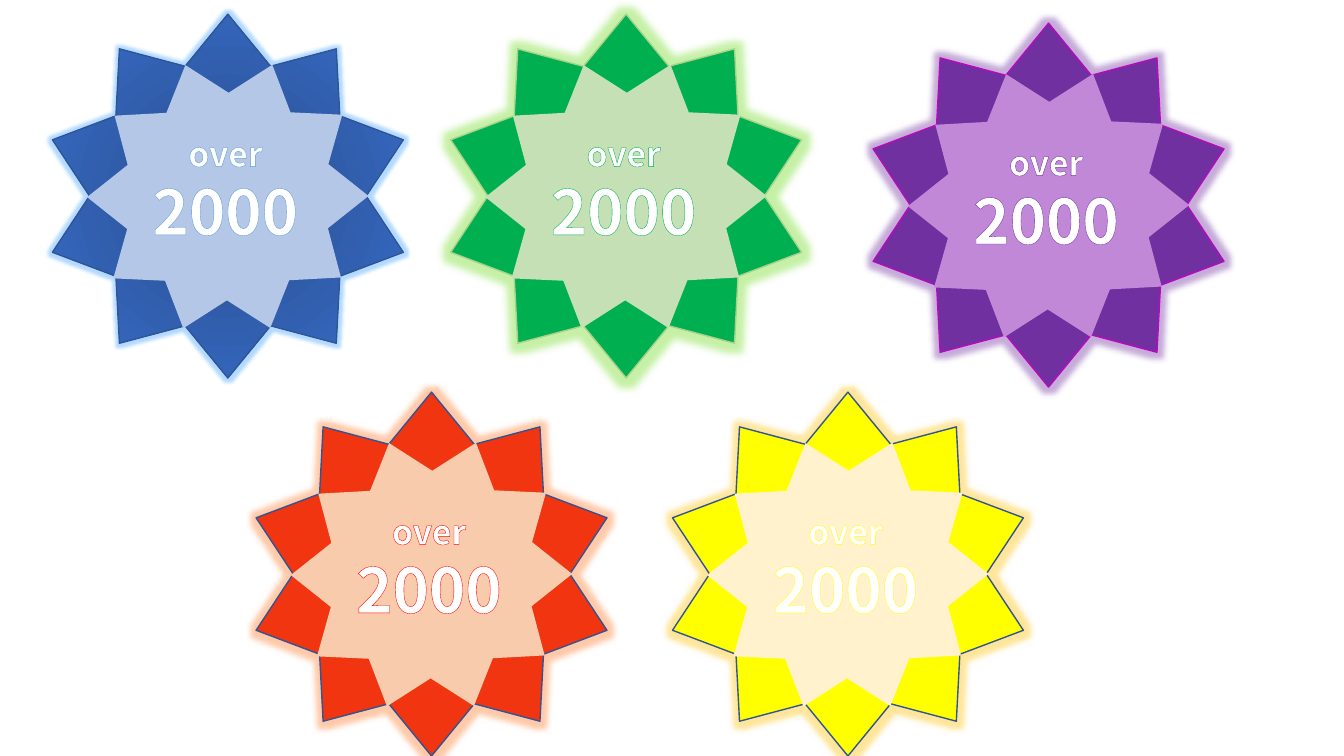
"""Build a slide of five ten-pointed star badges, each reading "over 2000"."""
from lxml import etree
from pptx import Presentation, util as u
from pptx.dml.color import RGBColor
from pptx.enum import shapes, text
from pptx.oxml.ns import qn

COLORS = {
    "white": "FFFFFF", "navy": "2F5597",
    "blue": "315EAD", "blue core": "B4C7E7", "blue text": "5B9BD5", "blue glow": "3FA0FF",
    "blue dark": "23427A", "blue light": "3A6FCE",
    "green": "00B050", "green core": "C5E0B4", "green edge": "A9D18E", "green glow": "6EDB20",
    "purple": "7030A0", "purple core": "C188D8", "purple edge": "B909BD",
    "red": "F03510", "red core": "F8CBAD", "red text": "FF0000", "red glow": "FF7A28",
    "yellow": "FFFF00", "yellow core": "FFF2CC", "yellow glow": "FFC000",
}
BADGES = [
    (0.52, 0.14, "blue", "navy", "blue core", "blue text", "blue glow", 5),
    (4.47, 0.14, "green", "green edge", "green core", "green", "green glow", 11),
    (8.66, 0.23, "purple", "purple edge", "purple core", "purple", "purple", 8),
    (2.54, 3.89, "red", "navy", "red core", "red text", "red glow", 8),
    (6.67, 3.89, "yellow", "navy", "yellow core", "yellow", "yellow glow", 8),
]
LINES = [("over", 24), ("2000", 44)]


def add_star(badge, left, top, width, height, color):
    star = badge.shapes.add_shape(shapes.MSO_SHAPE.STAR_10_POINT, u.Inches(left),
                                  u.Inches(top), u.Inches(width), u.Inches(height))
    star.adjustments[0] = 0.375
    star.shadow.inherit = False
    star.fill.solid()
    star.fill.fore_color.rgb = RGBColor.from_string(COLORS[color])
    return star


def add_color(parent, color):
    return etree.SubElement(parent, qn("a:srgbClr"), val=COLORS[color])


deck = Presentation()
deck.slide_width, deck.slide_height = u.Inches(13.33), u.Inches(7.5)
slide = deck.slides.add_slide(deck.slide_layouts[6])

for left, top, petal, edge, core, outline, halo, radius in BADGES:
    badge = slide.shapes.add_group_shape()

    petals = add_star(badge, left, top, 3.48, 3.61, petal)
    petals.line.color.rgb = RGBColor.from_string(COLORS[edge])
    petals.line.width = u.Pt(1)
    effects = petals._element.spPr.find(qn("a:effectLst"))
    glow = etree.SubElement(effects, qn("a:glow"), rad=str(u.Pt(radius)))
    etree.SubElement(add_color(glow, halo), qn("a:alpha"), val="40000")

    if petal == "blue":
        petals.fill.gradient()
        gradient = petals._element.spPr.find(qn("a:gradFill"))
        for part in list(gradient):
            gradient.remove(part)
        stops = etree.SubElement(gradient, qn("a:gsLst"))
        for position, shade in ((0, "blue dark"), (50, "blue"), (100, "blue light")):
            add_color(etree.SubElement(stops, qn("a:gs"), pos=str(position * 1000)), shade)
        circle = etree.SubElement(gradient, qn("a:path"), path="circle")
        etree.SubElement(circle, qn("a:fillToRect"),
                         {side: "50000" for side in "ltrb"})

    center = add_star(badge, left + 0.41, top + 0.44, 2.66, 2.74, core)
    center.rotation = 342.1
    center.line.fill.background()

    caption = badge.shapes.add_textbox(u.Inches(left + 0.81), u.Inches(top + 1.13),
                                       u.Inches(1.81), u.Inches(1.25)).text_frame
    caption.word_wrap = True
    caption.auto_size = text.MSO_AUTO_SIZE.SHAPE_TO_FIT_TEXT
    for row, (words, size) in enumerate(LINES):
        paragraph = caption.add_paragraph() if row else caption.paragraphs[0]
        paragraph.alignment = text.PP_ALIGN.CENTER
        run = paragraph.add_run()
        run.text = words
        run.font.size = u.Pt(size)
        run.font.bold = True
        run.font.name = "Noto Sans CJK JP"
        run.font.color.rgb = RGBColor.from_string(COLORS["white"])
        stroke = etree.Element(qn("a:ln"), w=str(u.Pt(0.8)))
        add_color(etree.SubElement(stroke, qn("a:solidFill")), outline)
        run._r.get_or_add_rPr().insert(0, stroke)

deck.save("out.pptx")
